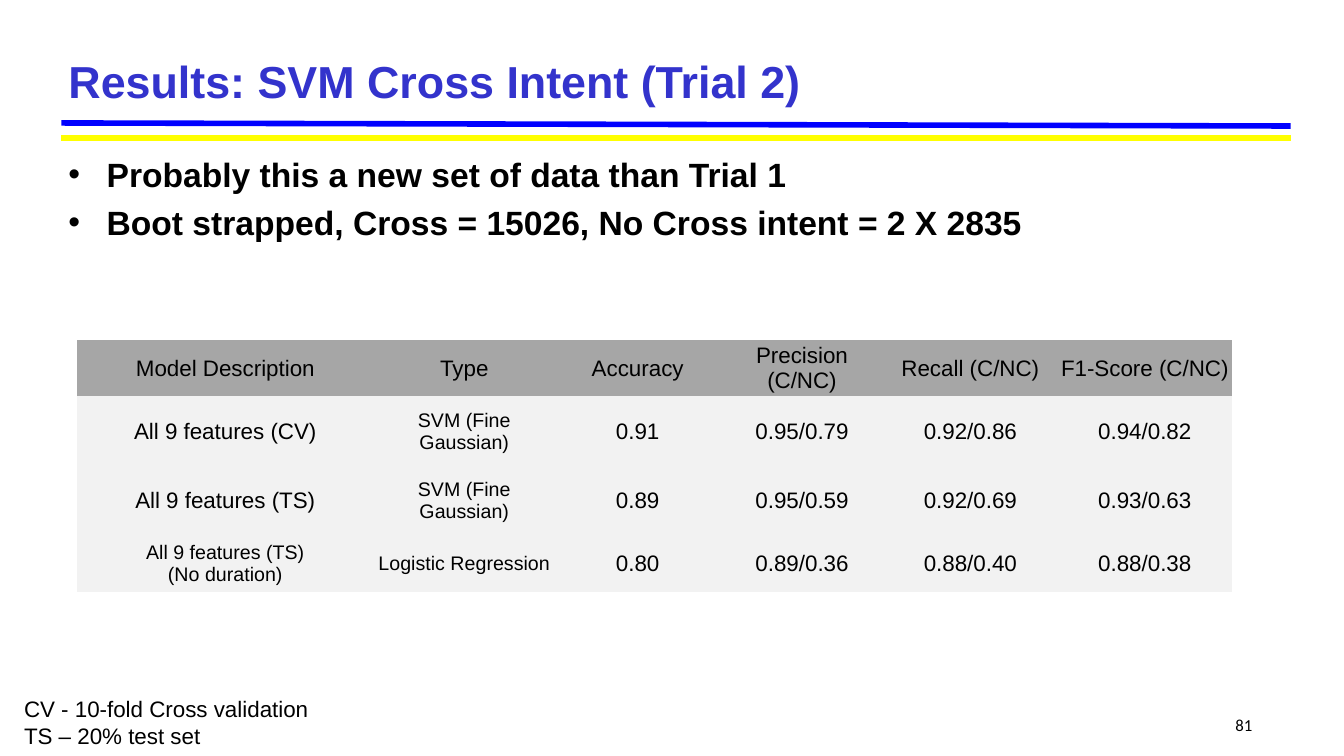
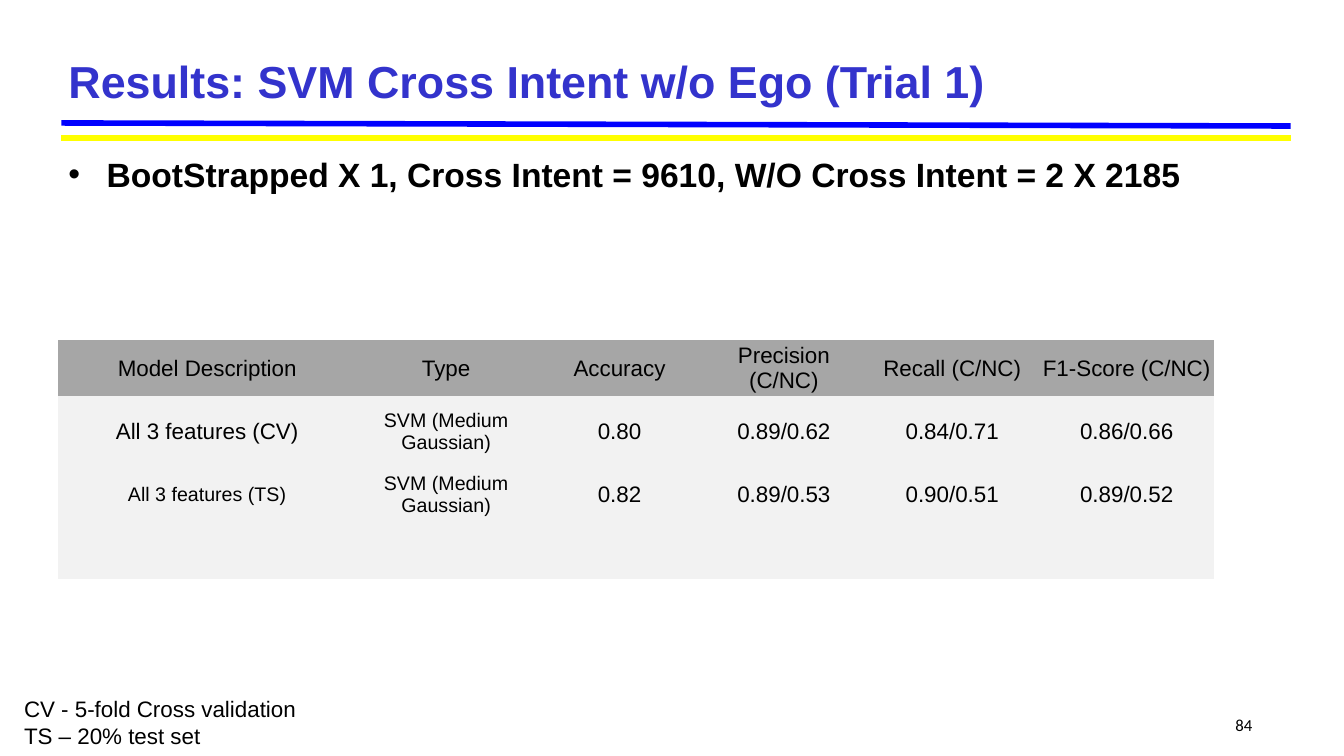
from dataclasses import dataclass

from lxml.etree import SubElement as Sub
from pptx import Presentation as Deck
from pptx.dml.color import RGBColor as RGB
from pptx.enum.shapes import MSO_CONNECTOR as Conn
from pptx.enum.text import MSO_ANCHOR as Anchor, PP_ALIGN as Align
from pptx.oxml.ns import qn
from pptx.slide import Slide
from pptx.text.text import TextFrame as Frame
from pptx.util import Inches, Pt

COLORS = {
    "title": "3333CC",
    "text": "000000",
    "blue": "0000FF",
    "yellow": "FFFF00",
    "head": "A6A6A6",
    "cell": "F2F2F2",
}
NO_GRID = "{2D5ABB26-0587-4C30-8999-92F81FD0307C}"
HEADS = ("Model Description", "Type", "Accuracy",
         "Precision (C/NC)", "Recall (C/NC)", "F1-Score (C/NC)")
WIDTHS = (2.95, 1.79, 1.65, 1.61, 1.73, 1.73)
LOW, HIGH = 0.56, 0.69


@dataclass
class Style:
    size: int
    font: str = "Arial"
    color: str = "text"
    bold: bool = False
    align: Align = Align.LEFT


@dataclass
class Rule:
    start: float
    end: float
    color: str


@dataclass
class Row:
    cells: tuple[str, ...]
    small: bool = False


@dataclass
class Page:
    title: str
    points: str
    left: float
    rows: tuple[Row, ...]
    note: str
    number: str


TITLE = Style(32, color="title", bold=True)
BODY = Style(24, bold=True)
NOTE = Style(16)
NUMBER = Style(12, font="Calibri", align=Align.RIGHT)
CELL = Style(16, align=Align.CENTER)
SMALL = Style(14, align=Align.CENTER)
RULES = (Rule(1.22, 1.25, "blue"), Rule(1.37, 1.37, "yellow"))

PAGES = (
    Page(
        "Results: SVM Cross Intent (Trial 2)",
        "Probably this a new set of data than Trial 1\n"
        "Boot strapped, Cross = 15026, No Cross intent = 2 X 2835",
        0.76,
        (
            Row(("All 9 features (CV)", "SVM (Fine Gaussian)", "0.91",
                 "0.95/0.79", "0.92/0.86", "0.94/0.82")),
            Row(("All 9 features (TS)", "SVM (Fine Gaussian)", "0.89",
                 "0.95/0.59", "0.92/0.69", "0.93/0.63")),
            Row(("All 9 features (TS)\n(No duration)", "Logistic Regression",
                 "0.80", "0.89/0.36", "0.88/0.40", "0.88/0.38"), small=True),
        ),
        "CV - 10-fold Cross validation\nTS – 20% test set",
        "81",
    ),
    Page(
        "Results: SVM Cross Intent w/o Ego (Trial 1)",
        "BootStrapped X 1, Cross Intent = 9610, W/O Cross Intent = 2 X 2185",
        0.58,
        (
            Row(("All 3 features (CV)", "SVM (Medium Gaussian)", "0.80",
                 "0.89/0.62", "0.84/0.71", "0.86/0.66")),
            Row(("All 3 features (TS)", "SVM (Medium Gaussian)", "0.82",
                 "0.89/0.53", "0.90/0.51", "0.89/0.52"), small=True),
            Row(("",) * len(HEADS), small=True),
        ),
        "CV - 5-fold Cross validation\nTS – 20% test set",
        "84",
    ),
)


def write(frame: Frame, text: str, style: Style) -> None:
    frame.text = text
    for para in frame.paragraphs:
        para.alignment = style.align
        for run in para.runs:
            font = run.font
            font.name, font.size, font.bold = style.font, Pt(style.size), style.bold
            font.color.rgb = RGB.from_string(COLORS[style.color])


def add_text(slide: Slide, box: tuple[float, ...], text: str, style: Style,
             anchor: Anchor = Anchor.TOP) -> Frame:
    frame = slide.shapes.add_textbox(*map(Inches, box)).text_frame
    frame.word_wrap = True
    frame.vertical_anchor = anchor
    write(frame, text, style)
    return frame


def add_bullets(frame: Frame) -> None:
    indent = Inches(0.38)
    for para in frame.paragraphs:
        para.space_before = Pt(5.5)
        props = para._p.get_or_add_pPr()
        props.set("marL", str(indent))
        props.set("indent", str(-indent))
        Sub(props, qn("a:buFont"), typeface="Arial")
        Sub(props, qn("a:buChar"), char="•")


def add_rule(slide: Slide, rule: Rule) -> None:
    line = slide.shapes.add_connector(
        Conn.STRAIGHT, Inches(0.61), Inches(rule.start),
        Inches(12.8), Inches(rule.end))
    line.line.color.rgb = RGB.from_string(COLORS[rule.color])
    line.line.width = Pt(4)
    Sub(line.element.spPr, qn("a:effectLst"))


def add_grid(slide: Slide, left: float, rows: tuple[Row, ...]) -> None:
    lines = (Row(HEADS),) + rows
    highs = [LOW] + [LOW if row.small else HIGH for row in rows]
    shape = slide.shapes.add_table(
        len(lines), len(HEADS), Inches(left), Inches(3.37),
        Inches(sum(WIDTHS)), Inches(sum(highs)))
    grid = shape.table
    grid.first_row = grid.horz_banding = False
    next(shape.element.iter(qn("a:tableStyleId"))).text = NO_GRID
    for col, width in zip(grid.columns, WIDTHS):
        col.width = Inches(width)
    for i, (row, high) in enumerate(zip(lines, highs)):
        grid.rows[i].height = Inches(high)
        for j, text in enumerate(row.cells):
            cell = grid.cell(i, j)
            cell.margin_left = cell.margin_right = cell.margin_top = Inches(0.01)
            cell.margin_bottom = 0
            cell.vertical_anchor = Anchor.MIDDLE
            cell.fill.solid()
            cell.fill.fore_color.rgb = RGB.from_string(COLORS["cell" if i else "head"])
            # Model types, and names in low rows, are set smaller
            small = i > 0 and (j == 1 or (j == 0 and row.small))
            write(cell.text_frame, text, SMALL if small else CELL)


def add_page(deck: Deck, page: Page) -> None:
    slide = deck.slides.add_slide(deck.slide_layouts[6])
    # Title band
    for rule in RULES:
        add_rule(slide, rule)
    add_text(slide, (0.58, 0.5, 12.22, 0.59), page.title, TITLE, Anchor.MIDDLE)
    # Content
    add_bullets(add_text(slide, (0.58, 1.48, 12.27, 0.59), page.points, BODY))
    add_grid(slide, page.left, page.rows)
    # Footer
    add_text(slide, (12.1, 7.04, 0.42, 0.26), page.number, NUMBER)
    add_text(slide, (0.14, 6.85, 6.67, 0.64), page.note, NOTE)


def main() -> None:
    deck = Deck()
    deck.slide_width, deck.slide_height = Inches(13.33), Inches(7.5)
    for page in PAGES:
        add_page(deck, page)
    deck.save("out.pptx")


if __name__ == "__main__":
    main()
